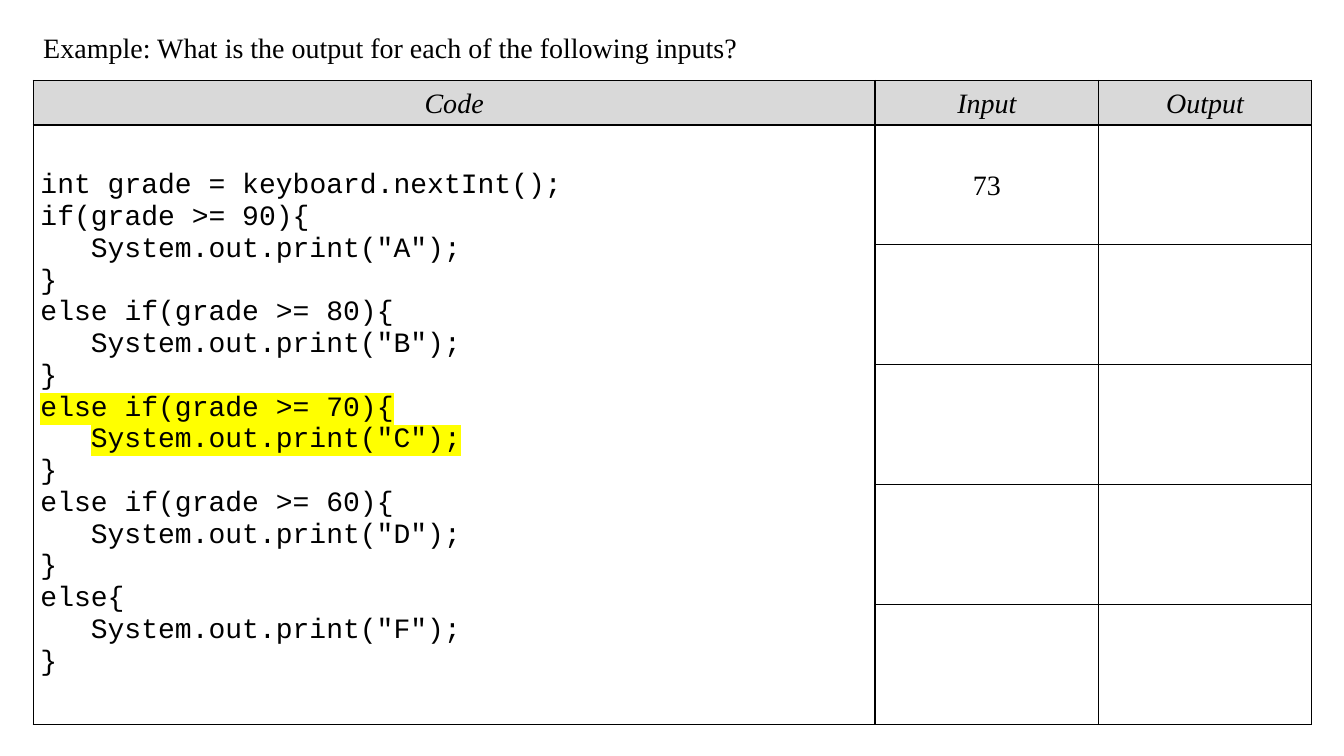
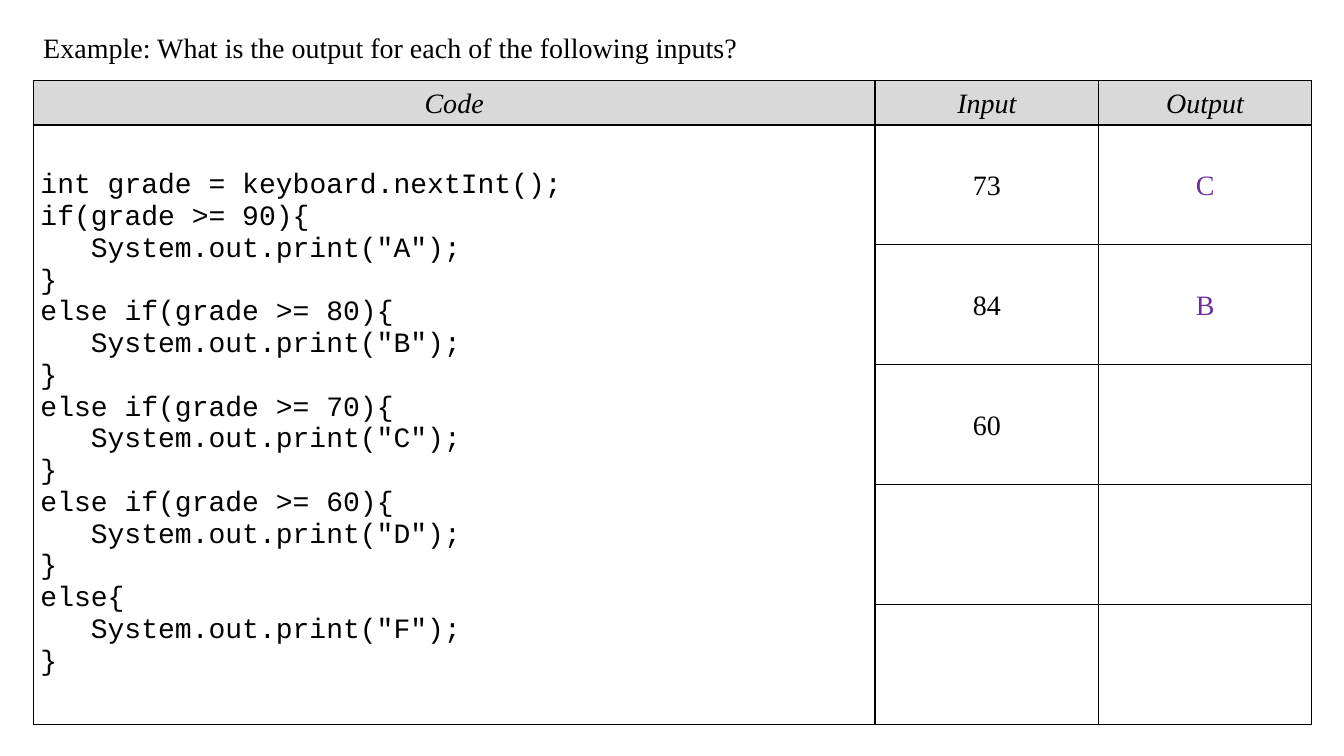
from lxml import etree
from pptx import Presentation
from pptx.dml.color import RGBColor
from pptx.enum.text import MSO_ANCHOR, PP_ALIGN
from pptx.oxml.ns import qn
from pptx.util import Cm, Pt

BLACK = RGBColor(0x00, 0x00, 0x00)
WHITE = RGBColor(0xFF, 0xFF, 0xFF)
HEADER_GREY = RGBColor(0xD9, 0xD9, 0xD9)
ANSWER_PURPLE = RGBColor(0x6E, 0x2F, 0x9D)
MARKER_YELLOW = RGBColor(0xFF, 0xFF, 0x00)
CENTER = PP_ALIGN.CENTER
MIDDLE = MSO_ANCHOR.MIDDLE
SERIF = "Times New Roman"
MONO = "Courier New"

QUESTION = "Example: What is the output for each of the following inputs?"
HEADERS = ["Code", "Input", "Output"]
COLUMN_WIDTHS = [Cm(21.21), Cm(5.64), Cm(5.36)]
HEADER_HEIGHT = Cm(1.12)
ROW_HEIGHT = Cm(3.02)
INPUT_ROWS = 5
CODE = [
    "int grade = keyboard.nextInt();",
    "if(grade >= 90){",
    '\tSystem.out.print("A");',
    "}",
    "else if(grade >= 80){",
    '\tSystem.out.print("B");',
    "}",
    "else if(grade >= 70){",
    '\tSystem.out.print("C");',
    "}",
    "else if(grade >= 60){",
    '\tSystem.out.print("D");',
    "}",
    "else{",
    '\tSystem.out.print("F");',
    "}",
]
C_BRANCH = CODE[7:9]


def add_span(para, text, font=SERIF, color=BLACK, italic=False, marker=None):
    """Add a run of formatted text to a paragraph."""
    span = para.add_run()
    span.text = text
    span.font.size = Pt(20)
    span.font.italic = italic
    span.font.color.rgb = color
    if marker is not None:
        highlight = etree.SubElement(span.font._element, qn("a:highlight"))
        etree.SubElement(highlight, qn("a:srgbClr"), val=str(marker))
    span.font.name = font


class Deck:
    """Hold the presentation, its style and the current slide."""

    def __init__(self):
        """Start a widescreen presentation."""
        self.deck = Presentation()
        self.deck.slide_width = Cm(33.87)
        self.deck.slide_height = Cm(19.05)
        self.page = None

    def add_page(self):
        """Start a blank slide."""
        self.page = self.deck.slides.add_slide(self.deck.slide_layouts[6])

    def add_question(self, text):
        """Write the question above the table."""
        box = self.page.shapes.add_textbox(Cm(0.84), Cm(0.64), Cm(20.45), Cm(1.11))
        box.text_frame.word_wrap = True
        add_span(box.text_frame.paragraphs[0], text)

    def style_cell(self, cell, fill):
        """Give a cell its margins, borders and fill."""
        cell.vertical_anchor = MIDDLE
        cell.margin_left = cell.margin_right = Cm(0.18)
        cell.margin_top = cell.margin_bottom = 0
        properties = cell._tc.get_or_add_tcPr()
        for side in ("lnL", "lnR", "lnT", "lnB"):
            line = etree.SubElement(properties, qn(f"a:{side}"), w=str(Pt(1)))
            solid = etree.SubElement(line, qn("a:solidFill"))
            etree.SubElement(solid, qn("a:srgbClr"), val=str(BLACK))
        cell.fill.solid()
        cell.fill.fore_color.rgb = fill

    def write_centered(self, cell, text, **style):
        """Write one centred line in a cell."""
        para = cell.text_frame.paragraphs[0]
        para.alignment = CENTER
        para.line_spacing = 1.07
        para.space_after = Pt(8)
        add_span(para, text, **style)

    def write_code(self, cell, lines, marked):
        """Write code in a cell, highlighting the marked lines."""
        frame = cell.text_frame
        for index, line in enumerate(lines):
            para = frame.add_paragraph() if index else frame.paragraphs[0]
            if line not in marked:
                add_span(para, line, font=MONO)
                continue
            statement = line.lstrip("\t")
            indent = line[:len(line) - len(statement)]
            if indent:
                add_span(para, indent, font=MONO)
            add_span(para, statement, font=MONO, marker=MARKER_YELLOW)

    def add_trace_table(self, cases, marked):
        """Add the code table with its (input, output) cases."""
        frame = self.page.shapes.add_table(
            INPUT_ROWS + 1, len(HEADERS), Cm(0.84), Cm(2.03),
            sum(COLUMN_WIDTHS), HEADER_HEIGHT + INPUT_ROWS * ROW_HEIGHT)
        table = frame.table
        table.first_row = table.horz_banding = False
        for column, width in zip(table.columns, COLUMN_WIDTHS):
            column.width = width
        for index, row in enumerate(table.rows):
            row.height = ROW_HEIGHT if index else HEADER_HEIGHT
            for cell in row.cells:
                self.style_cell(cell, WHITE if index else HEADER_GREY)
        for index, header in enumerate(HEADERS):
            self.write_centered(table.cell(0, index), header, italic=True)
        table.cell(1, 0).merge(table.cell(INPUT_ROWS, 0))
        self.write_code(table.cell(1, 0), CODE, marked)
        for index, (grade, letter) in enumerate(cases, start=1):
            self.write_centered(table.cell(index, 1), grade)
            if letter:
                self.write_centered(table.cell(index, 2), letter, color=ANSWER_PURPLE)

    def save(self):
        """Save the presentation."""
        self.deck.save("out.pptx")


def main():
    """Build both slides."""
    deck = Deck()
    steps = [
        ([("73", "")], C_BRANCH),
        ([("73", "C"), ("84", "B"), ("60", "")], []),
    ]
    for cases, marked in steps:
        deck.add_page()
        deck.add_question(QUESTION)
        deck.add_trace_table(cases, marked)
    deck.save()


if __name__ == "__main__":
    main()
